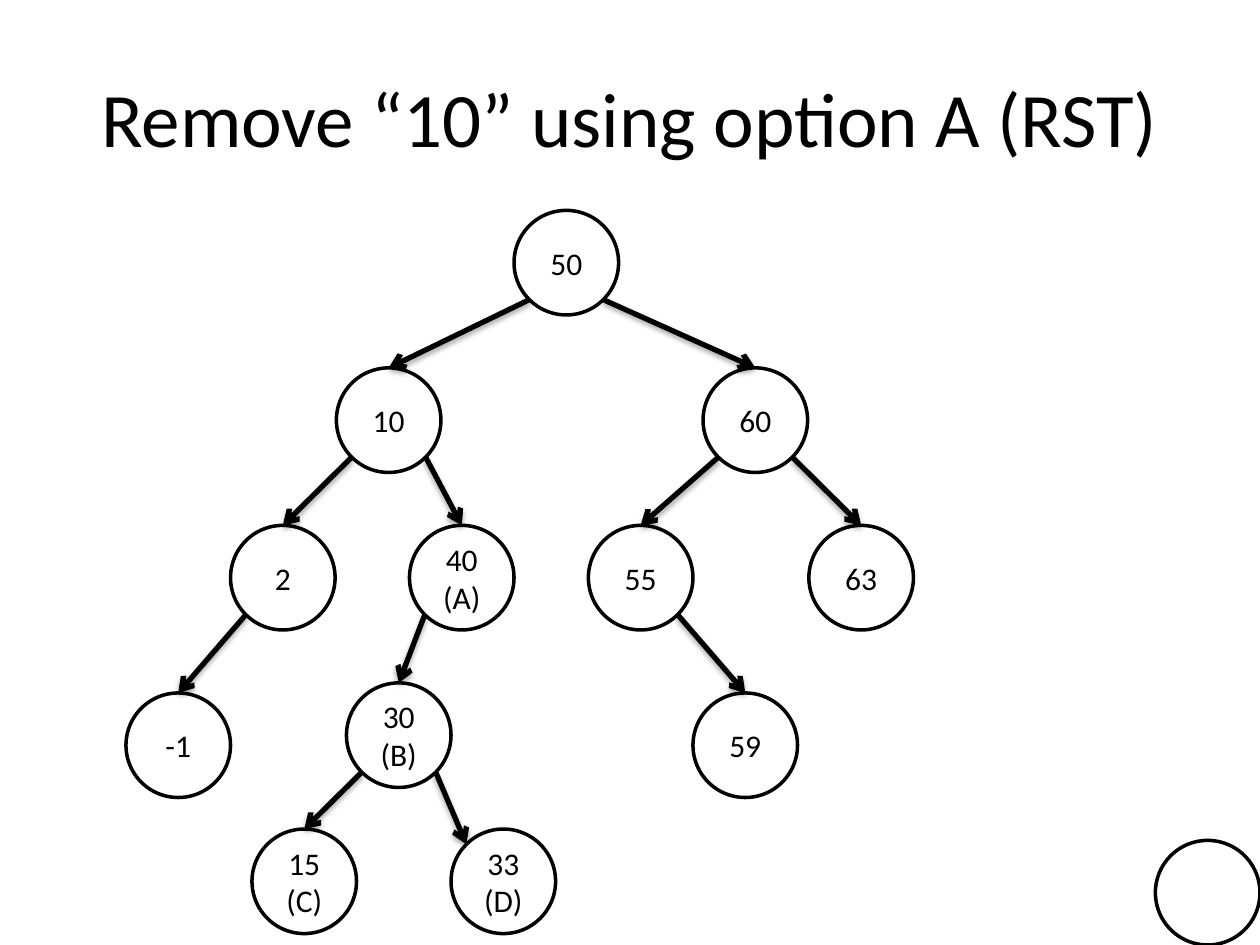
import math
from dataclasses import dataclass
from lxml import etree
from pptx import Presentation
from pptx.dml.color import RGBColor
from pptx.enum import shapes, text
from pptx.oxml import ns, parse_xml
from pptx.util import Inches, Pt


@dataclass(frozen=True)
class Theme:
    ink: RGBColor = RGBColor(0, 0, 0)
    paper: RGBColor = RGBColor(255, 255, 255)
    font: str = "Calibri"
    title_size: Pt = Pt(44)
    node_size: Pt = Pt(18)
    node_line: Pt = Pt(2)
    edge_line: Pt = Pt(3)


theme = Theme()
DIAMETER = 0.83
RADIUS = DIAMETER / 2
DIAGONAL = RADIUS * math.sqrt(0.5)
SHADOW = (
    f'<a:effectLst {ns.nsdecls("a")}>'
    '<a:outerShdw blurRad="40000" dist="23000" dir="5400000" rotWithShape="0">'
    '<a:srgbClr val="000000"><a:alpha val="35000"/></a:srgbClr>'
    '</a:outerShdw></a:effectLst>'
)


def style_text(box, size):
    box.text_frame.vertical_anchor = text.MSO_ANCHOR.MIDDLE
    para = box.text_frame.paragraphs[0]
    para.alignment = text.PP_ALIGN.CENTER
    para.font.name = theme.font
    para.font.size = size
    para.font.color.rgb = theme.ink


def add_node(label, left, top):
    node = page.shapes.add_shape(
        shapes.MSO_SHAPE.OVAL, Inches(left), Inches(top), Inches(DIAMETER), Inches(DIAMETER)
    )
    node.shadow.inherit = False
    node.fill.solid()
    node.fill.fore_color.rgb = theme.paper
    node.line.color.rgb = theme.ink
    node.line.width = theme.node_line
    if label:
        node.text_frame.text = label
        node.text_frame.word_wrap = True
        style_text(node, theme.node_size)


deck = Presentation()
deck.slide_width, deck.slide_height = Inches(10), Inches(7.5)
page = deck.slides.add_slide(deck.slide_layouts[5])

title = page.shapes.title
title.left, title.top, title.width, title.height = map(Inches, (0.5, 0.3, 9, 1.25))
title.text_frame.text = "Remove “10” using option A (RST)"
style_text(title, theme.title_size)

nodes = {
    "50": (4.08, 1.67),
    "10": (2.67, 2.92),
    "60": (5.58, 2.92),
    "2": (1.83, 4.17),
    "40 (A)": (3.25, 4.17),
    "55": (4.67, 4.17),
    "63": (6.42, 4.17),
    "-1": (1, 5.5),
    "30 (B)": (2.75, 5.42),
    "59": (5.5, 5.5),
    "15 (C)": (2, 6.58),
    "33 (D)": (3.58, 6.58),
}
edges = [
    ("50", "10"), ("50", "60"),
    ("10", "2"), ("10", "40 (A)"),
    ("60", "55"), ("60", "63"),
    ("2", "-1"), ("40 (A)", "30 (B)"), ("55", "59"),
    ("30 (B)", "15 (C)"), ("30 (B)", "33 (D)"),
]

add_node("", 10 - DIAMETER, 7.5 - DIAMETER)
for label, (left, top) in nodes.items():
    add_node(label, left, top)

for parent, child in edges:
    start_x, start_y = (edge + RADIUS for edge in nodes[parent])
    end_x, end_y = (edge + RADIUS for edge in nodes[child])
    start_x += math.copysign(DIAGONAL, end_x - start_x)
    start_y += DIAGONAL
    if child == "33 (D)":
        end_x -= DIAGONAL
        end_y -= DIAGONAL
    else:
        end_y -= RADIUS
    arrow = page.shapes.add_connector(
        shapes.MSO_CONNECTOR.STRAIGHT,
        Inches(start_x), Inches(start_y), Inches(end_x), Inches(end_y),
    )
    arrow.line.color.rgb = theme.ink
    arrow.line.width = theme.edge_line
    etree.SubElement(arrow.line._get_or_add_ln(), ns.qn("a:tailEnd"), type="arrow")
    arrow._element.spPr.append(parse_xml(SHADOW))

deck.save("out.pptx")
